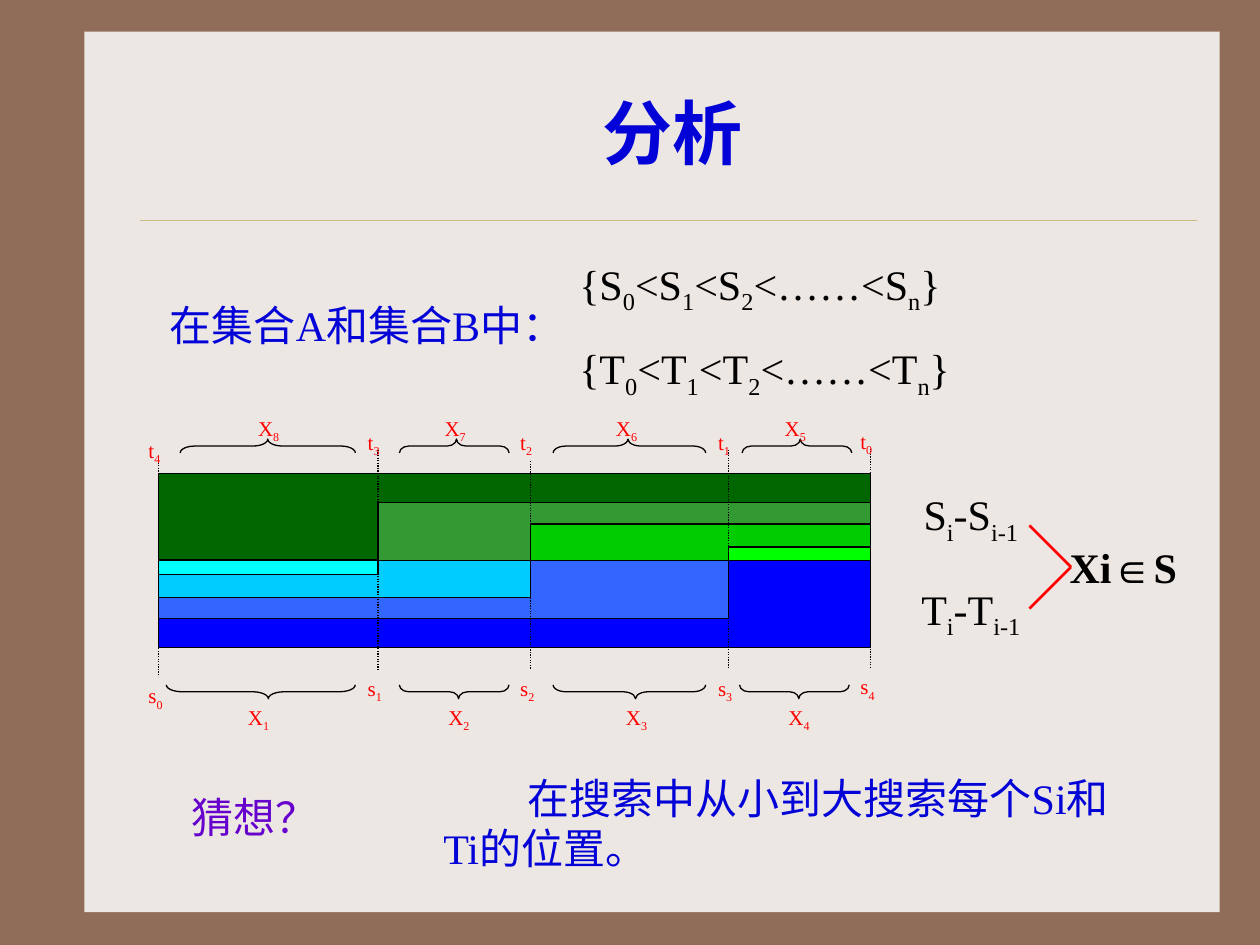
"""Builds the analysis slide with the interleaved S and T partitions."""
import pptx
import pptx.util
import pptx.dml.color
import pptx.enum.dml
import pptx.enum.shapes
import pptx.enum.text
import pptx.oxml.ns
from lxml import etree

Inches, Pt = pptx.util.Inches, pptx.util.Pt
SHAPE = pptx.enum.shapes.MSO_SHAPE
ALIGN = pptx.enum.text.PP_ALIGN
ANCHOR = pptx.enum.text.MSO_ANCHOR
qn = pptx.oxml.ns.qn

COLORS = {
    "frame": "906D58", "panel": "EDE7E3", "divider": "CBBD83",
    "blue": "0303D7", "black": "000000", "red": "FF0000", "violet": "6600CC",
}
LATIN, CJK = "Times New Roman", "Noto Sans CJK SC"
HAIRLINE = 0.74

STATEMENTS = [
    ("分析", (1.17, 0.42, 8.33, 1.25),
     {"size": 40, "color": "blue", "bold": True, "align": ALIGN.CENTER, "anchor": ANCHOR.MIDDLE}),
    ("在集合A和集合B中：", (1.25, 2.33, 3.08, 0.9), {"color": "blue"}),
    ("{S~0~<S~1~<S~2~<……<S~n~}", (4.5, 2, 3.17, 0.56), {}),
    ("{T~0~<T~1~<T~2~<……<T~n~}", (4.5, 2.67, 3.17, 0.56), {}),
    ("Xi∈S", (8.33, 4.25, 1.17, 0.5), {"bold": True, "align": ALIGN.CENTER}),
    ("S~i~-S~i-1", (7.08, 3.83, 1.25, 0.56), {"align": ALIGN.CENTER}),
    ("T~i~-T~i-1", (7.08, 4.58, 1.25, 0.56), {"align": ALIGN.CENTER}),
    ("猜想？", (1.42, 5.92, 1.5, 1.13),
     {"color": "violet", "font": CJK, "anchor": ANCHOR.MIDDLE}),
    ("在搜索中从小到大搜索每个Si和Ti的位置。", (3.42, 6.08, 5.5, 0.9),
     {"color": "blue", "indent": 0.67}),
]

CUTS = [1.26, 3, 4.21, 5.78, 6.91]
MIDDLE = 4.45
S_BANDS = [("0000FF", 4, 0.69), ("3366FF", 3, 0.46), ("00CCFF", 2, 0.29), ("00FFFF", 1, 0.11)]
T_BANDS = [("006600", 0, 0.69), ("339933", 1, 0.46), ("00CC00", 2, 0.29), ("00FF00", 3, 0.11)]
GUIDES = [(3.63, 4.51, 5.37), (3.57, 4.51, 5.31), (3.66, 4.6, 5.31),
          (3.57, 4.68, 5.31), (3.56, 4.8, 5.3)]
S_LABELS = [("s~0", 5.37), ("s~1", 5.31), ("s~2", 5.31), ("s~3", 5.31), ("s~4", 5.3)]
T_LABELS = [("t~4", 3.42), ("t~3", 3.36), ("t~2", 3.36), ("t~1", 3.36), ("t~0", 3.35)]
S_BRACES = [("X~1", 1.87, 1.32, 2.82, 0.54), ("X~2", 3.46, 3.17, 4.04, 0.54),
            ("X~3", 4.87, 4.39, 5.6, 0.54), ("X~4", 6.16, 5.87, 6.74, 0.54)]
T_BRACES = [("X~8", 1.95, 1.43, 2.82, 0.5), ("X~7", 3.43, 3.17, 4.04, 0.48),
            ("X~6", 4.79, 4.39, 5.6, 0.51), ("X~5", 6.13, 5.89, 6.76, 0.47)]
BRACE_DEPTH = 0.11

deck = pptx.Presentation()
deck.slide_width, deck.slide_height = Inches(10), Inches(7.5)
slide = deck.slides.add_slide(deck.slide_layouts[6])


def rgb(value):
    return pptx.dml.color.RGBColor.from_string(COLORS.get(value, value))


def add_text(text, box, size=24, color="black", bold=False, font=LATIN,
             align=ALIGN.LEFT, anchor=ANCHOR.TOP, indent=0):
    frame = slide.shapes.add_textbox(*map(Inches, box)).text_frame
    frame.word_wrap, frame.vertical_anchor = True, anchor
    paragraph = frame.paragraphs[0]
    paragraph.alignment = align
    if indent:
        paragraph._p.get_or_add_pPr().set("indent", str(Inches(indent)))
    for position, part in enumerate(text.split("~")):
        run = paragraph.add_run()
        run.text = part
        for name, value in {"size": Pt(size), "bold": bold, "name": font}.items():
            setattr(run.font, name, value)
        run.font.color.rgb = rgb(color)
        properties = run._r.get_or_add_rPr()
        etree.SubElement(properties, qn("a:ea")).set("typeface", CJK)
        if position % 2:
            properties.set("baseline", "-25000")


def add_shape(kind, box, fill=None, line=None):
    shape = slide.shapes.add_shape(kind, *map(Inches, box))
    shape.shadow.inherit = False
    if fill:
        shape.fill.solid()
        shape.fill.fore_color.rgb = rgb(fill)
    else:
        shape.fill.background()
    if line:
        shape.line.color.rgb, shape.line.width = rgb(line), Pt(HAIRLINE)
    else:
        shape.line.fill.background()
    return shape


def add_line(start, end, color="black", width=HAIRLINE, dotted=False):
    line = slide.shapes.add_connector(
        pptx.enum.shapes.MSO_CONNECTOR.STRAIGHT, *map(Inches, start + end))
    line.line.color.rgb, line.line.width = rgb(color), Pt(width)
    if dotted:
        line.line.dash_style = pptx.enum.dml.MSO_LINE.ROUND_DOT
    etree.SubElement(line._element.spPr, qn("a:effectLst"))


def add_brace(left, right, middle, rotation, tip):
    span = right - left
    brace = add_shape(SHAPE.LEFT_BRACE, ((left + right - BRACE_DEPTH) / 2, middle - span / 2,
                                         BRACE_DEPTH, span), line="black")
    brace.rotation = rotation
    brace.adjustments[0] = span / 12 / BRACE_DEPTH
    brace.adjustments[1] = tip


def add_t_band(color, first, height):
    add_shape(SHAPE.RECTANGLE, (CUTS[first], MIDDLE - height, CUTS[-1] - CUTS[first], height),
              color, "black")


slide.background.fill.solid()
slide.background.fill.fore_color.rgb = rgb("frame")
add_shape(SHAPE.RECTANGLE, (0.67, 0.25, 9.01, 6.99), "panel")
add_line((1.11, 1.75), (9.5, 1.75), "divider", 0.26)

add_t_band(*T_BANDS[0])
add_line((CUTS[0], MIDDLE), (CUTS[-1], MIDDLE), width=1.5)
for color, last, height in S_BANDS:
    add_shape(SHAPE.RECTANGLE, (CUTS[0], MIDDLE, CUTS[last] - CUTS[0], height), color, "black")
for band in T_BANDS[1:]:
    add_t_band(*band)

for cut, (top, split, bottom) in zip(CUTS, GUIDES):
    add_line((cut, top), (cut, split), dotted=True)
    add_line((cut, split), (cut, bottom), dotted=True)
for labels in (S_LABELS, T_LABELS):
    for cut, (label, top) in zip(CUTS, labels):
        add_text(label, (cut - 0.18, top, 0.35, 0.33), size=12, color="red")
for braces, middle, rotation, label_top in ((S_BRACES, 5.49, 270, 5.54),
                                            (T_BRACES, 3.54, 90, 3.25)):
    for label, label_left, left, right, tip in braces:
        add_brace(left, right, middle, rotation, tip)
        add_text(label, (label_left, label_top, 0.44, 0.33), size=12, color="red")

for statement, box, style in STATEMENTS:
    add_text(statement, box, **style)
for end in (4.17, 4.83):
    add_line((8.17, end), (8.5, 4.5), "red", 1.5)

deck.save("out.pptx")
